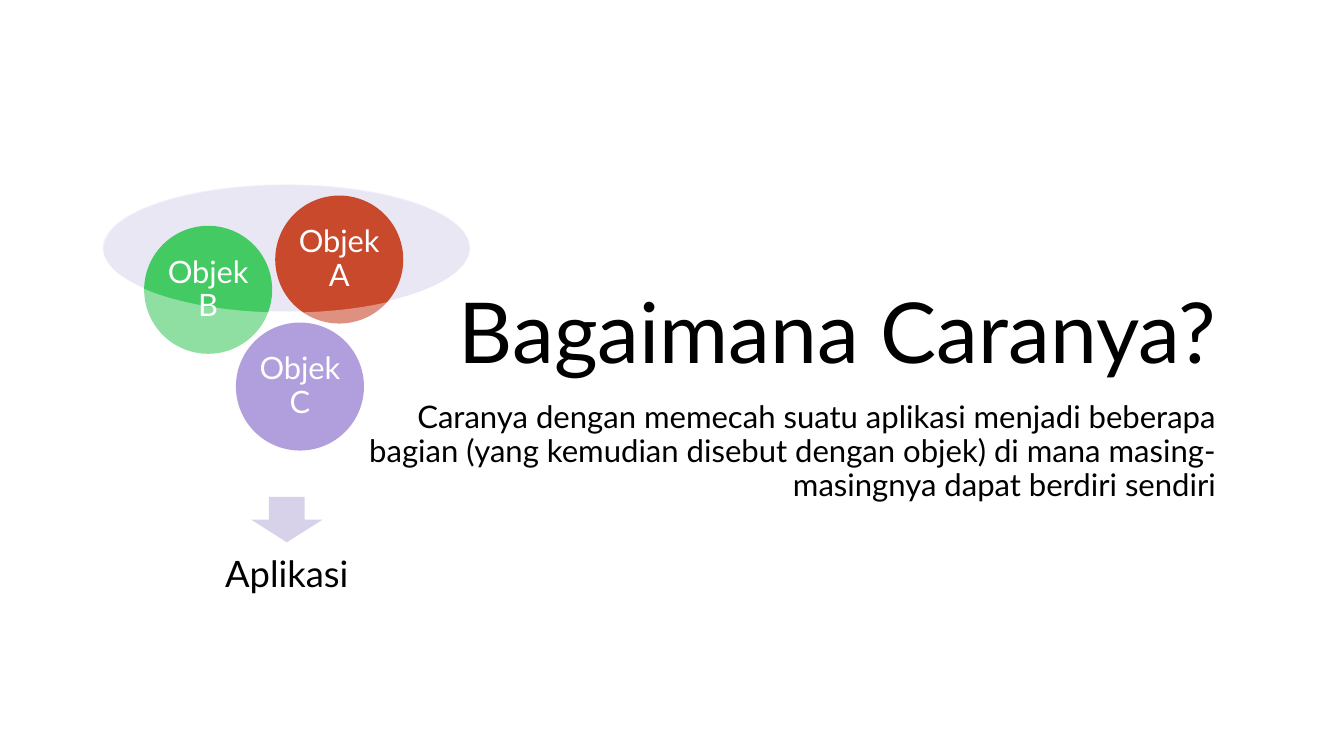
from lxml.etree import SubElement
from pptx import Presentation
from pptx.dml.color import RGBColor
from pptx.enum.shapes import MSO_SHAPE as Preset
from pptx.enum.text import MSO_ANCHOR as Anchor, PP_ALIGN as Align
from pptx.oxml.ns import qn
from pptx.util import Inches, Pt

FONT = "Lato"
BLACK, WHITE = "000000", "FFFFFF"
CIRCLE_SIZE = 1.27
# Label, left, top and colour, from back to front
OBJECTS = [
    ("Objek C", 2.34, 3.2, "7C60C6"),
    ("Objek B", 1.43, 2.24, "44CA63"),
    ("Objek A", 2.73, 1.94, "C9492C"),
]


def color(hex_code):
    return RGBColor.from_string(hex_code)


def write(shape, text, size, ink=BLACK, align=Align.CENTER,
          anchor=Anchor.MIDDLE, inset=(0.1, 0.05), before=0):
    frame = shape.text_frame
    frame.word_wrap = True
    frame.vertical_anchor = anchor
    frame.margin_left = frame.margin_right = Inches(inset[0])
    frame.margin_top = frame.margin_bottom = Inches(inset[1])
    paragraph = frame.paragraphs[0]
    paragraph.alignment = align
    paragraph.line_spacing = 0.9
    paragraph.space_before = Pt(before)
    run = paragraph.add_run()
    run.text = text
    run.font.name = FONT
    run.font.size = Pt(size)
    run.font.color.rgb = color(ink)


def add_text(slide, text, box, size, **style):
    write(slide.shapes.add_textbox(*map(Inches, box)), text, size, **style)


def add_preset(slide, preset, box, fill, opacity=100):
    shape = slide.shapes.add_shape(preset, *map(Inches, box))
    shape.shadow.inherit = False
    shape.line.fill.background()
    shape.fill.solid()
    shape.fill.fore_color.rgb = color(fill)
    if opacity < 100:
        tint = shape.fill._xPr.find(qn("a:solidFill"))[0]
        SubElement(tint, qn("a:alpha"), val=str(opacity * 1000))
    return shape


def main():
    deck = Presentation()
    deck.slide_width, deck.slide_height = Inches(13.33), Inches(7.5)
    slide = deck.slides.add_slide(deck.slide_layouts[6])

    # Title and explanation
    add_text(slide, "Bagaimana Caranya?", (3.51, 1.23, 8.65, 2.61), 60,
             align=Align.RIGHT, anchor=Anchor.BOTTOM)
    add_text(slide, "Caranya dengan memecah suatu aplikasi menjadi beberapa "
             "bagian (yang kemudian disebut dengan objek) di mana "
             "masing-masingnya dapat berdiri sendiri",
             (3.51, 3.94, 8.65, 1.81), 22.2,
             align=Align.RIGHT, anchor=Anchor.TOP, before=10)

    # Funnel opening, arrow and result
    add_preset(slide, Preset.OVAL, (1.02, 1.83, 3.64, 1.26), "CCC5E5", 40)
    add_preset(slide, Preset.DOWN_ARROW, (2.49, 4.93, 0.71, 0.45), "D7D2EA")
    add_text(slide, "Aplikasi", (1.15, 5.29, 3.39, 0.85), 26, inset=(0.2, 0.2))

    # Objects falling into the funnel
    for label, left, top, fill in OBJECTS:
        circle = add_preset(slide, Preset.OVAL,
                            (left, top, CIRCLE_SIZE, CIRCLE_SIZE), fill)
        write(circle, label, 22, ink=WHITE, inset=(0.03, 0.03))

    # Translucent funnel in front
    add_preset(slide, Preset.FUNNEL, (0.87, 1.68, 3.95, 3.16), WHITE, 40)

    deck.save("out.pptx")


if __name__ == "__main__":
    main()
